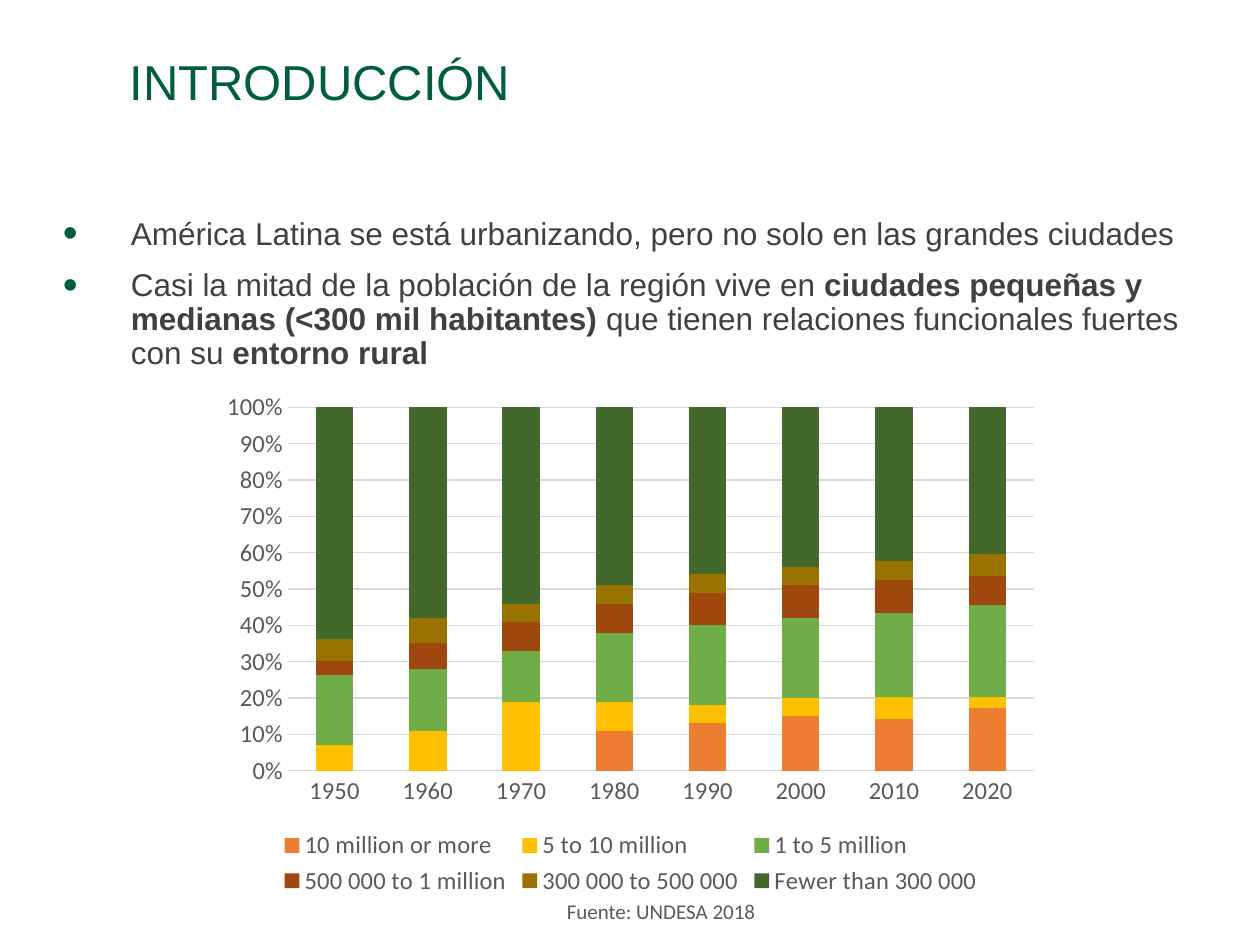
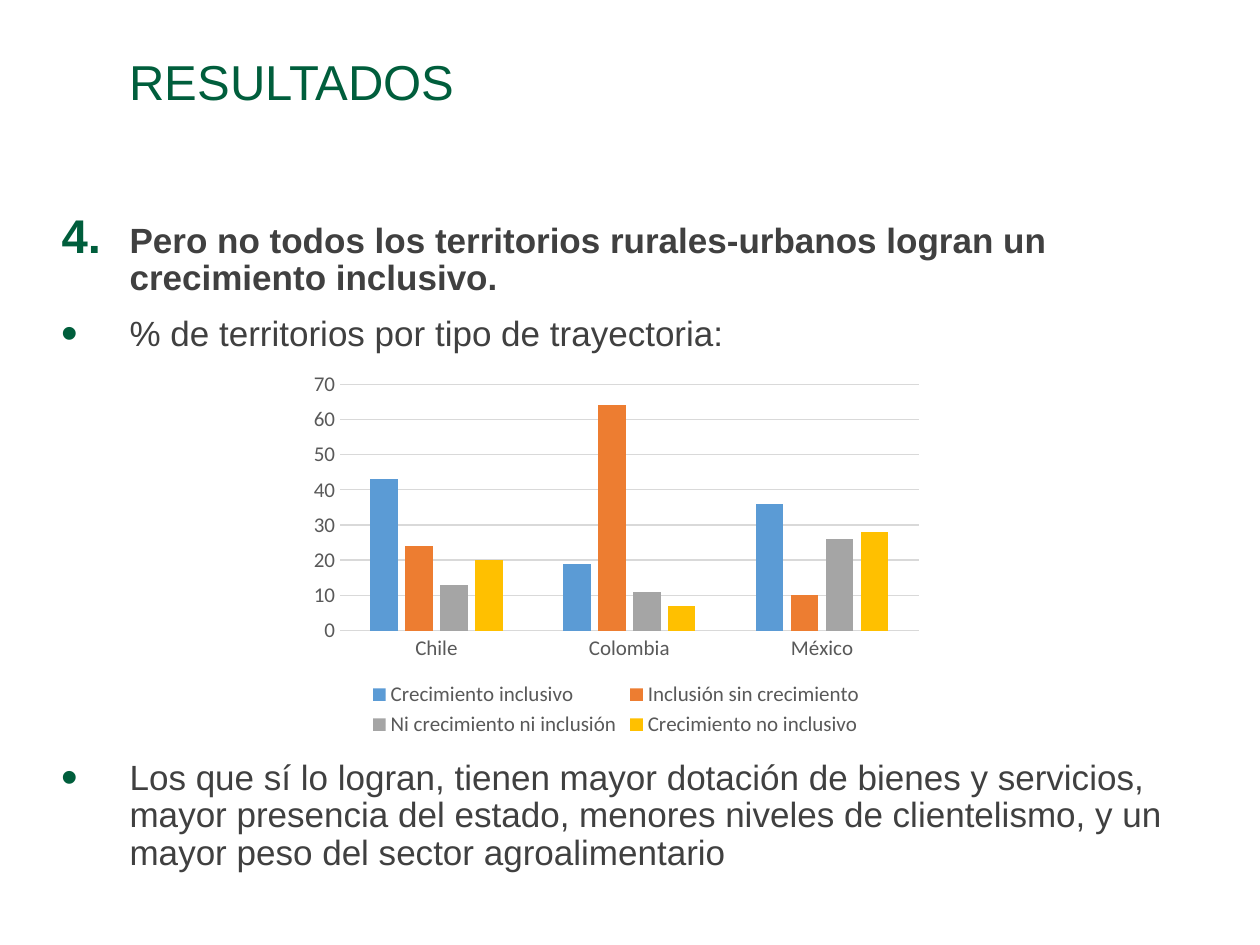
import dataclasses
import typing

import lxml.etree
import pptx
import pptx.chart.data
import pptx.dml.color
import pptx.enum.chart
import pptx.enum.text
import pptx.oxml.ns
import pptx.util

Inches = pptx.util.Inches
Pt = pptx.util.Pt
Kind = pptx.enum.chart.XL_CHART_TYPE


# Theme
@dataclasses.dataclass(frozen=True)
class Theme:
    green: str = "005E3C"
    dark: str = "404040"
    gray: str = "595959"
    rule: str = "D9D9D9"
    orange: str = "ED7D31"
    gold: str = "FFC000"
    leaf: str = "70AD47"
    rust: str = "9E480E"
    olive: str = "997300"
    forest: str = "43682B"
    blue: str = "5B9BD5"
    silver: str = "A5A5A5"
    sans: str = "Arial"
    label: str = "Calibri"
    head: float = 28
    large: float = 20
    text: float = 18
    note: float = 12
    legend: float = 14
    gap: float = 10
    lead: float = 0.9


THEME = Theme()


class Box(typing.NamedTuple):
    left: float
    top: float
    width: float
    height: float

    def place(self) -> list[int]:
        return [Inches(side) for side in self]


class Run(typing.NamedTuple):
    text: str
    bold: bool = False


class Point(typing.NamedTuple):
    runs: list[Run]
    start: int = 0  # list number; 0 means a round bullet
    before: float = THEME.gap


class Bar(typing.NamedTuple):
    name: str
    vals: list[int]
    color: str


@dataclasses.dataclass
class Graph:
    box: Box
    kind: Kind
    cats: list[str]
    bars: list[Bar]
    size: float
    gap: int
    lap: int
    form: str


# Text helpers
def tint(code: str) -> pptx.dml.color.RGBColor:
    return pptx.dml.color.RGBColor.from_string(code)


def style(font, face: str, size: float, color: str) -> None:
    font.name = face
    font.size = Pt(size)
    font.color.rgb = tint(color)


def add_run(para, run: Run, face: str, size: float, color: str) -> None:
    part = para.add_run()
    part.text = run.text
    part.font.bold = run.bold
    style(part.font, face, size, color)


def add_frame(slide, box: Box, wrap: bool = True):
    frame = slide.shapes.add_textbox(*box.place()).text_frame
    frame.word_wrap = wrap
    return frame


def add_mark(para, start: int) -> None:
    """Hang the paragraph from a green bullet or number."""
    props = para._p.get_or_add_pPr()
    props.set("marL", str(Inches(0.54)))
    props.set("indent", str(-Inches(0.54)))

    def add(parent, tag: str, **attrs: str):
        return lxml.etree.SubElement(parent, pptx.oxml.ns.qn(tag), attrs)

    add(add(props, "a:buClr"), "a:srgbClr", val=THEME.green)
    add(props, "a:buSzPct", val="135000")
    add(props, "a:buFont", typeface=THEME.sans)
    if start:
        add(props, "a:buAutoNum", type="arabicPeriod", startAt=str(start))
    else:
        add(props, "a:buChar", char="•")


# Slide parts
def add_title(slide, text: str) -> None:
    para = add_frame(slide, Box(0.93, 0.41, 8.66, 1.05)).paragraphs[0]
    para.line_spacing = THEME.lead
    add_run(para, Run(text), THEME.sans, THEME.head, THEME.green)


def add_body(slide, box: Box, points: list[Point], size: float) -> None:
    frame = add_frame(slide, box)
    for i, point in enumerate(points):
        para = frame.add_paragraph() if i else frame.paragraphs[0]
        add_mark(para, point.start)
        para.line_spacing = THEME.lead
        para.space_before = Pt(point.before if i else 0)
        for run in point.runs:
            add_run(para, run, THEME.sans, size, THEME.dark)


def add_graph(slide, graph: Graph) -> None:
    data = pptx.chart.data.CategoryChartData()
    data.categories = graph.cats
    for bar in graph.bars:
        data.add_series(bar.name, bar.vals)
    chart = slide.shapes.add_chart(graph.kind, *graph.box.place(), data).chart
    chart.has_title = False
    style(chart.font, THEME.label, graph.size, THEME.gray)

    # Legend
    chart.has_legend = True
    chart.legend.position = pptx.enum.chart.XL_LEGEND_POSITION.BOTTOM
    chart.legend.include_in_layout = False
    style(chart.legend.font, THEME.label, graph.size, THEME.gray)

    # Bars
    plot = chart.plots[0]
    plot.gap_width = graph.gap
    plot.overlap = graph.lap
    plot.vary_by_categories = False
    for series, bar in zip(plot.series, graph.bars):
        series.format.fill.solid()
        series.format.fill.fore_color.rgb = tint(bar.color)

    # Axes
    cats, vals = chart.category_axis, chart.value_axis
    for axis in (cats, vals):
        axis.major_tick_mark = pptx.enum.chart.XL_TICK_MARK.NONE
        axis.minor_tick_mark = pptx.enum.chart.XL_TICK_MARK.NONE
        style(axis.tick_labels.font, THEME.label, graph.size, THEME.gray)
    vals.has_major_gridlines = True
    vals.format.line.fill.background()
    vals.tick_labels.number_format = graph.form
    vals.tick_labels.number_format_is_linked = False
    for line in (cats.format.line, vals.major_gridlines.format.line):
        line.color.rgb = tint(THEME.rule)
        line.width = Pt(0.75)


# Slides
def add_intro(slide) -> None:
    add_title(slide, "INTRODUCCIÓN")
    add_body(slide, Box(0.4, 1.68, 9.2, 4.76), [
        Point([Run("América Latina se está urbanizando, pero no solo en las grandes ciudades")]),
        Point([
            Run("Casi la mitad de la población de la región vive en "),
            Run("ciudades pequeñas y medianas (<300 mil habitantes)", True),
            Run(" que tienen relaciones funcionales fuertes con su "),
            Run("entorno rural", True),
        ]),
    ], THEME.text)
    add_graph(slide, Graph(
        Box(1.67, 3.03, 6.67, 4.12), Kind.COLUMN_STACKED_100,
        [str(year) for year in range(1950, 2021, 10)],
        [
            Bar("10 million or more", [0, 0, 0, 11, 13, 15, 14, 17], THEME.orange),
            Bar("5 to 10 million", [7, 11, 19, 8, 5, 5, 6, 3], THEME.gold),
            Bar("1 to 5 million", [19, 17, 14, 19, 22, 22, 23, 25], THEME.leaf),
            Bar("500 000 to 1 million", [4, 7, 8, 8, 9, 9, 9, 8], THEME.rust),
            Bar("300 000 to 500 000", [6, 7, 5, 5, 5, 5, 5, 6], THEME.olive),
            Bar("Fewer than 300 000", [63, 58, 54, 49, 46, 44, 42, 40], THEME.forest),
        ],
        THEME.legend, gap=150, lap=100, form="0%"))
    frame = add_frame(slide, Box(4.4, 7.08, 1.72, 0.3), wrap=False)
    frame.auto_size = pptx.enum.text.MSO_AUTO_SIZE.SHAPE_TO_FIT_TEXT
    add_run(frame.paragraphs[0], Run("Fuente: UNDESA 2018"),
            THEME.label, THEME.note, THEME.gray)


def add_results(slide) -> None:
    add_title(slide, "RESULTADOS")
    add_body(slide, Box(0.39, 1.72, 9.2, 5.38), [
        Point([Run("Pero no todos los territorios rurales-urbanos logran un "
                   "crecimiento inclusivo.", True)], start=4),
        Point([Run("% de territorios por tipo de trayectoria:")]),
        # The wide space leaves room for the chart
        Point([Run("Los que sí lo logran, tienen mayor dotación de bienes y servicios, "
                   "mayor presencia del estado, menores niveles de clientelismo, "
                   "y un mayor peso del sector agroalimentario")], before=232),
    ], THEME.large)
    add_graph(slide, Graph(
        Box(2.39, 2.89, 5, 3), Kind.COLUMN_CLUSTERED,
        ["Chile", "Colombia", "México"],
        [
            Bar("Crecimiento inclusivo", [43, 19, 36], THEME.blue),
            Bar("Inclusión sin crecimiento", [24, 64, 10], THEME.orange),
            Bar("Ni crecimiento ni inclusión", [13, 11, 26], THEME.silver),
            Bar("Crecimiento no inclusivo", [20, 7, 28], THEME.gold),
        ],
        THEME.note, gap=219, lap=-27, form="General"))


def main() -> None:
    deck = pptx.Presentation()
    deck.slide_width, deck.slide_height = Inches(10), Inches(7.5)
    blank = deck.slide_layouts[6]
    for build in (add_intro, add_results):
        build(deck.slides.add_slide(blank))
    deck.save("out.pptx")


if __name__ == "__main__":
    main()
